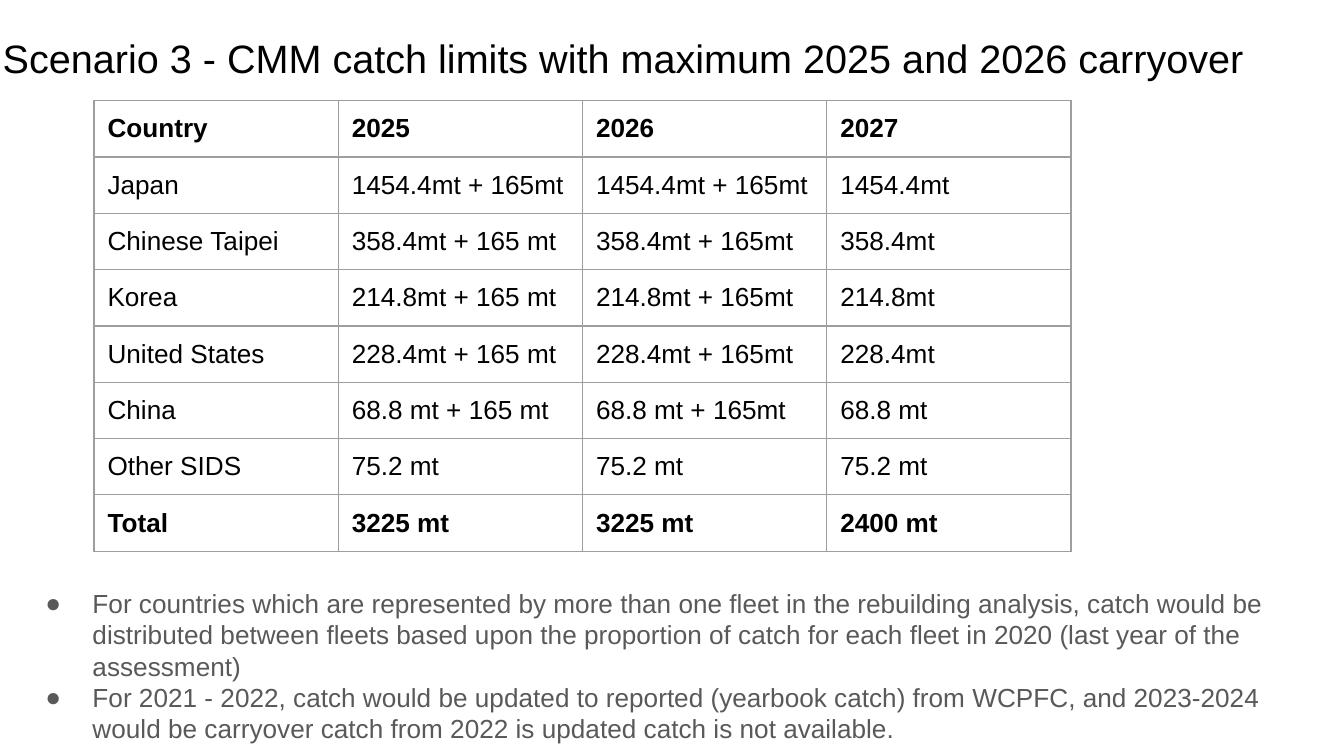
"""Build a slide with a table of catch limits and two notes."""
import pptx
import pptx.util
import pptx.dml.color
import pptx.enum.text
import pptx.oxml
import pptx.oxml.ns

Inches = pptx.util.Inches
Pt = pptx.util.Pt
RGBColor = pptx.dml.color.RGBColor
Anchor = pptx.enum.text.MSO_ANCHOR
Align = pptx.enum.text.PP_ALIGN

BLACK = RGBColor(0x00, 0x00, 0x00)
GREY = RGBColor(0x59, 0x59, 0x59)
RULE = RGBColor(0x9E, 0x9E, 0x9E)

TITLE = "Scenario 3 - CMM catch limits with maximum 2025 and 2026 carryover"
LIMITS = [
    ["Country", "2025", "2026", "2027"],
    ["Japan", "1454.4mt + 165mt", "1454.4mt + 165mt", "1454.4mt"],
    ["Chinese Taipei", "358.4mt + 165 mt", "358.4mt + 165mt", "358.4mt"],
    ["Korea", "214.8mt + 165 mt", "214.8mt + 165mt", "214.8mt"],
    ["United States", "228.4mt + 165 mt", "228.4mt + 165mt", "228.4mt"],
    ["China", "68.8 mt + 165 mt", "68.8 mt + 165mt", "68.8 mt"],
    ["Other SIDS", "75.2 mt", "75.2 mt", "75.2 mt"],
    ["Total", "3225 mt", "3225 mt", "2400 mt"],
]
NOTES = [
    "For countries which are represented by more than one fleet in the "
    "rebuilding analysis, catch would be distributed between fleets based "
    "upon the proportion of catch for each fleet in 2020 (last year of the "
    "assessment)",
    "For 2021 - 2022, catch would be updated to reported (yearbook catch) "
    "from WCPFC, and 2023-2024 would be carryover catch from 2022 is updated "
    "catch is not available.",
]


def style(para, size, color, bold=False):
    """Format the runs of a paragraph."""
    for run in para.runs:
        run.font.name = "Arial"
        run.font.size = Pt(size)
        run.font.bold = bold
        run.font.color.rgb = color


def pad(item):
    """Give a cell or text frame equal margins."""
    item.margin_left = item.margin_right = Inches(0.1)
    item.margin_top = item.margin_bottom = Inches(0.1)


def add_xml(parent, body):
    """Append one drawing element to a parent."""
    tag, rest = body.split(" ", 1)
    space = pptx.oxml.ns.nsdecls("a")
    parent.append(pptx.oxml.parse_xml(f"<a:{tag} {space} {rest}"))


def border(cell):
    """Draw a thin line on each side of a cell."""
    props = cell._tc.get_or_add_tcPr()
    for side in ("lnL", "lnR", "lnT", "lnB"):
        add_xml(props, f'{side} w="{Pt(0.75)}"><a:solidFill>'
                       f'<a:srgbClr val="{RULE}"/></a:solidFill></a:{side}>')


def add_title(slide):
    """Place and fill the title."""
    title = slide.shapes.title
    title.left, title.top = Inches(-0.08), Inches(0.15)
    title.width, title.height = Inches(9.66), Inches(0.63)
    frame = title.text_frame
    frame.text = TITLE
    frame.word_wrap = True
    frame.auto_size = pptx.enum.text.MSO_AUTO_SIZE.NONE
    frame.vertical_anchor = Anchor.TOP
    pad(frame)
    para = frame.paragraphs[0]
    para.alignment = Align.LEFT
    style(para, 21.2, BLACK)


def add_limits(slide):
    """Add the table of limits by country and year."""
    rows, cols = len(LIMITS), len(LIMITS[0])
    table = slide.shapes.add_table(
        rows, cols, Inches(0.7), Inches(0.75),
        Inches(7.27), Inches(5) // 12 * rows).table
    table.first_row = table.horz_banding = False
    for i, row in enumerate(LIMITS):
        for j, text in enumerate(row):
            cell = table.cell(i, j)
            cell.text = text
            pad(cell)
            border(cell)
            cell.fill.background()
            style(cell.text_frame.paragraphs[0], 14, BLACK,
                  i in (0, rows - 1))


def add_notes(slide):
    """Add the list of notes below the table."""
    box = slide.shapes.add_textbox(
        Inches(0.09), Inches(4.27), Inches(9.73), Inches(1.24))
    frame = box.text_frame
    frame.word_wrap = True
    pad(frame)
    frame.text = "\n".join(NOTES)
    for para in frame.paragraphs:
        props = para._p.get_or_add_pPr()
        props.set("marL", str(Inches(0.5)))
        props.set("indent", str(Inches(-0.35)))
        add_xml(props, f'buClr ><a:srgbClr val="{GREY}"/></a:buClr>')
        add_xml(props, 'buFont typeface="Arial"/>')
        add_xml(props, 'buChar char="●"/>')
        style(para, 14, GREY)


def main():
    """Build and save the slide."""
    deck = pptx.Presentation()
    deck.slide_width = Inches(10)
    deck.slide_height = deck.slide_width * 9 // 16
    slide = deck.slides.add_slide(deck.slide_layouts[5])
    add_title(slide)
    add_limits(slide)
    add_notes(slide)
    deck.save("out.pptx")


if __name__ == "__main__":
    main()
